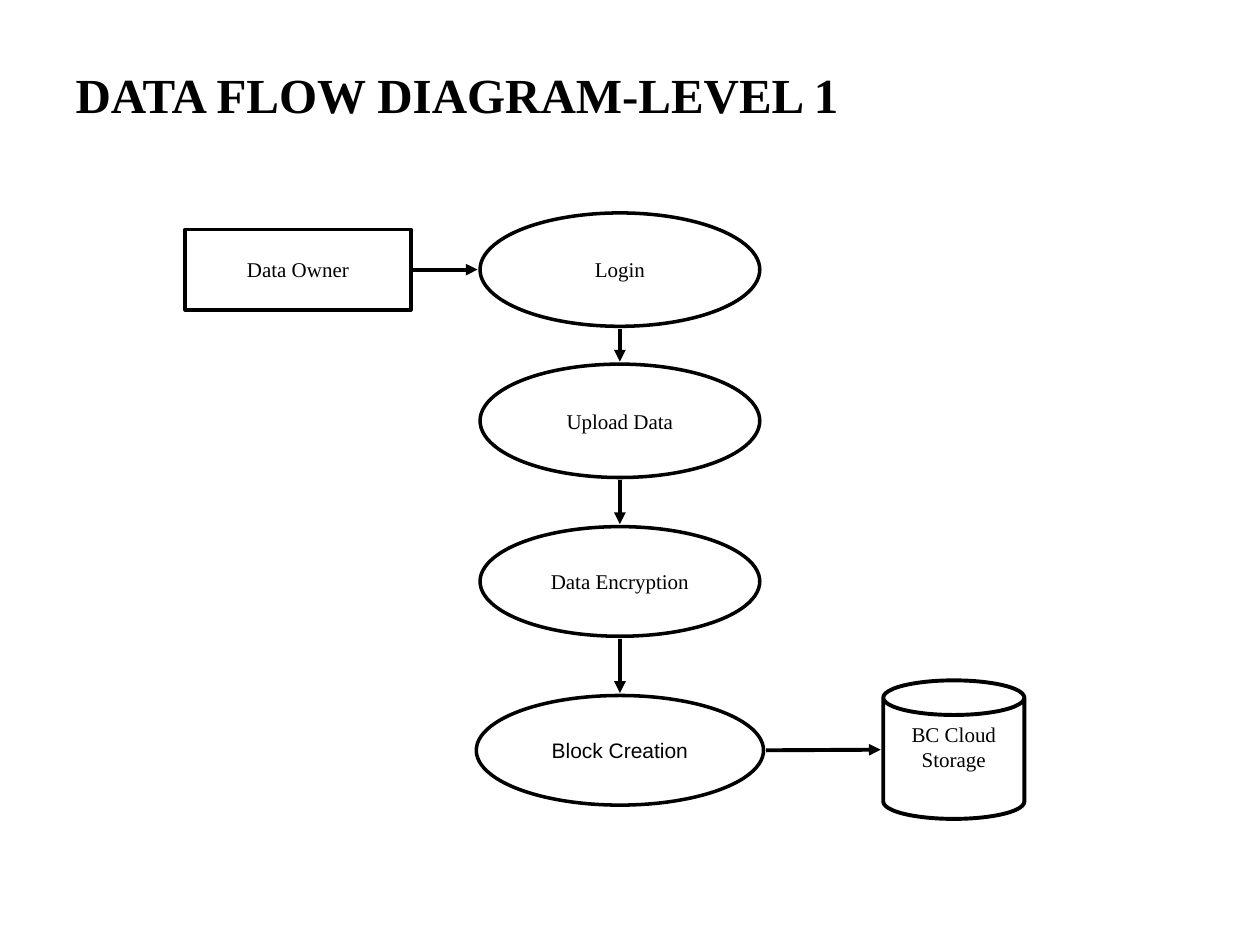
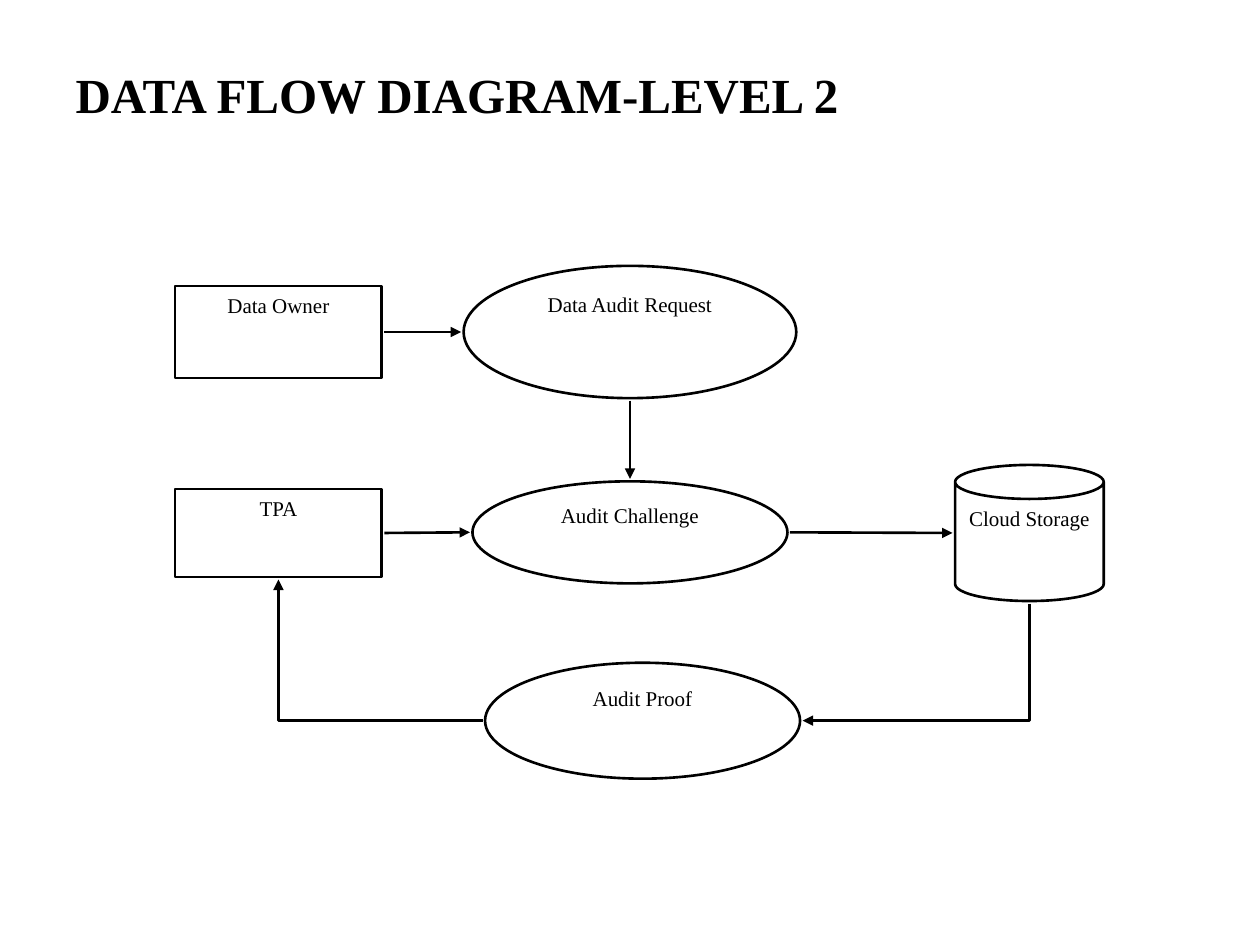
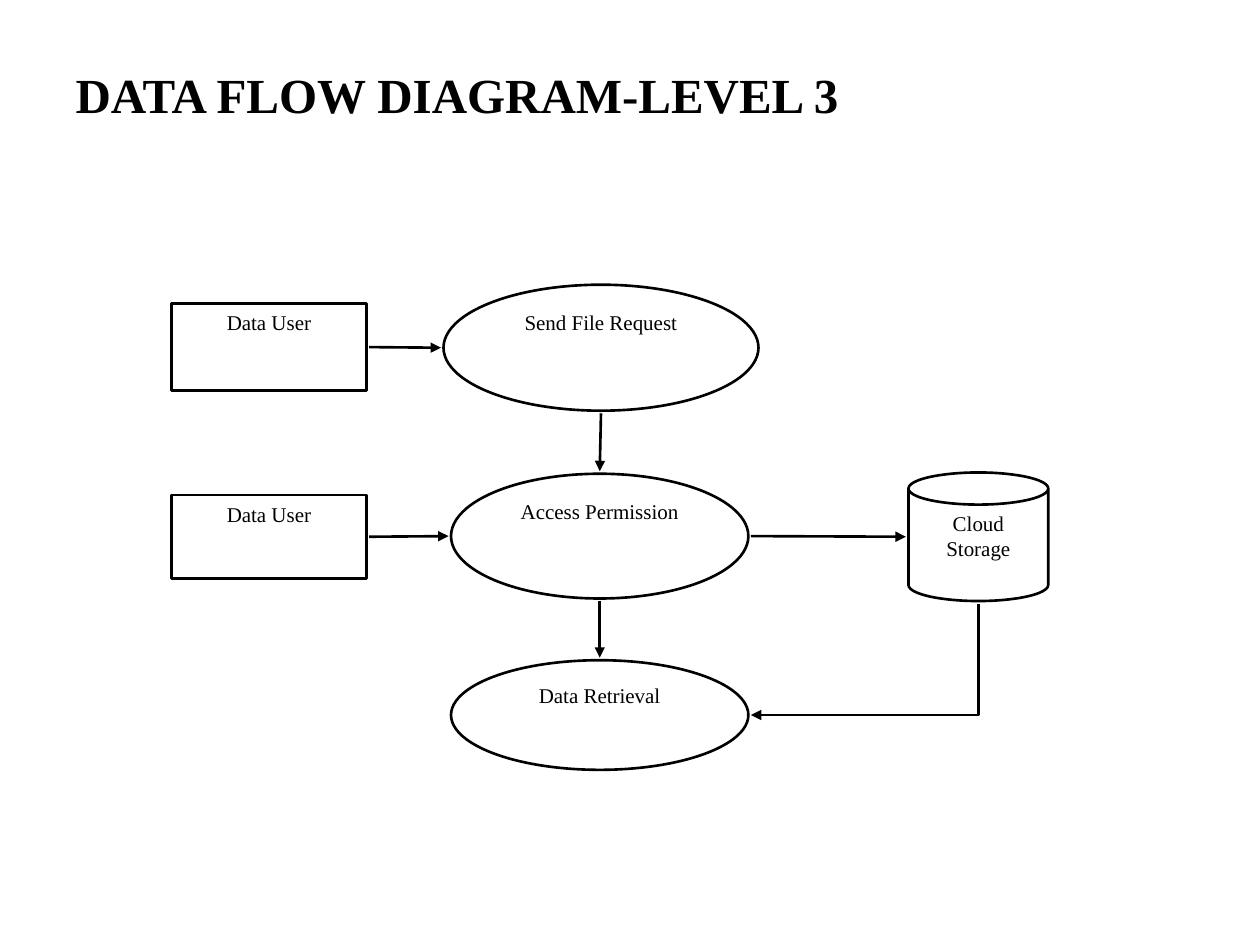
import pptx
import pptx.util
import pptx.dml.color
import pptx.enum.shapes
import pptx.enum.text
import pptx.oxml
import pptx.oxml.ns

Inches = pptx.util.Inches
Pt = pptx.util.Pt
Kind = pptx.enum.shapes.MSO_SHAPE
Line = pptx.enum.shapes.MSO_CONNECTOR
Anchor = pptx.enum.text.MSO_ANCHOR
Align = pptx.enum.text.PP_ALIGN
qn = pptx.oxml.ns.qn

BLACK = pptx.dml.color.RGBColor(0x00, 0x00, 0x00)
WHITE = pptx.dml.color.RGBColor(0xFF, 0xFF, 0xFF)
SERIF = "Times New Roman"
SANS = "Arial"
GAP = Inches(0.02)
# Unit direction in which each side of a shape faces
SIDES = {"left": (-1, 0), "right": (1, 0), "up": (0, -1), "down": (0, 1)}
OPPOSITE = {"right": "left", "down": "up"}


def add_page(deck, title):
    page = deck.slides.add_slide(deck.slide_layouts[5])
    box = page.shapes.title
    box.left, box.top = Inches(0.5), Inches(0.3)
    box.width, box.height = Inches(9), Inches(0.95)
    box.text_frame.text = title
    box.text_frame.vertical_anchor = Anchor.MIDDLE
    para = box.text_frame.paragraphs[0]
    para.alignment = Align.LEFT
    para.line_spacing = 0.9
    style_font(para.font, 28, SERIF)
    para.font.bold = True
    return page


def style_font(font, size, name):
    font.size = Pt(size)
    font.name = name
    font.color.rgb = BLACK


def add_node(page, kind, text, left, top, width, height,
             weight=1.5, anchor=Anchor.TOP, font=SERIF):
    node = page.shapes.add_shape(
        kind, Inches(left), Inches(top), Inches(width), Inches(height))
    node.shadow.inherit = False
    node.fill.solid()
    node.fill.fore_color.rgb = WHITE
    node.line.color.rgb = BLACK
    node.line.width = Pt(weight)
    node.text_frame.text = text
    node.text_frame.vertical_anchor = anchor
    para = node.text_frame.paragraphs[0]
    para.alignment = Align.CENTER
    style_font(para.font, 12, font)
    return node


def side_point(node, side):
    """Return the point just outside the middle of a node's side."""
    across, down = SIDES[side]
    x = node.left + node.width // 2 + across * (node.width // 2 + GAP)
    y = node.top + node.height // 2 + down * (node.height // 2 + GAP)
    return x, y


def style_arrow(arrow, weight):
    arrow.line.color.rgb = BLACK
    arrow.line.width = Pt(weight)
    line = arrow.element.spPr.find(qn("a:ln"))
    line.append(pptx.oxml.parse_xml(
        f'<a:tailEnd {pptx.oxml.ns.nsdecls("a")} type="triangle"/>'))
    arrow.element.spPr.append(pptx.oxml.parse_xml(
        f'<a:effectLst {pptx.oxml.ns.nsdecls("a")}/>'))


def add_arrow(page, source, target, direction, weight=1.5):
    start = side_point(source, direction)
    end = side_point(target, OPPOSITE[direction])
    arrow = page.shapes.add_connector(Line.STRAIGHT, *start, *end)
    style_arrow(arrow, weight)


def add_corner_arrow(page, source, leaving, target, arriving, rotation):
    """Join two sides with one right-angled bend, turned clockwise by rotation."""
    x1, y1 = side_point(source, leaving)
    x2, y2 = side_point(target, arriving)
    width, height = abs(x2 - x1), abs(y2 - y1)
    if rotation % 180:
        width, height = height, width
    left, top = (x1 + x2 - width) // 2, (y1 + y2 - height) // 2
    arrow = page.shapes.add_connector(
        Line.ELBOW, left, top, left + width, top + height)
    properties = arrow.element.spPr
    properties.find(qn("a:prstGeom")).set("prst", "bentConnector2")
    properties.find(qn("a:xfrm")).set("rot", str(rotation * 60000))
    style_arrow(arrow, 1.5)


def build_level_1(deck):
    page = add_page(deck, "DATA FLOW DIAGRAM-LEVEL 1")
    owner = add_node(page, Kind.RECTANGLE, "Data Owner",
                     1.47, 1.82, 1.79, 0.64, 2, Anchor.MIDDLE)
    steps = [
        add_node(page, Kind.OVAL, text, 4.92 - width / 2, top, width, height,
                 2, Anchor.MIDDLE, font)
        for text, top, width, height, font in (
            ("Login", 1.69, 2.22, 0.9, SERIF),
            ("Upload Data", 2.89, 2.22, 0.9, SERIF),
            ("Data Encryption", 4.18, 2.22, 0.87, SERIF),
            ("Block Creation", 5.52, 2.28, 0.87, SANS),
        )
    ]
    storage = add_node(page, Kind.CAN, "BC Cloud Storage",
                       7.01, 5.4, 1.12, 1.1, 2.25)
    add_arrow(page, owner, steps[0], "right", 2.25)
    for step, following in zip(steps, steps[1:]):
        add_arrow(page, step, following, "down", 2.25)
    add_arrow(page, steps[-1], storage, "right", 2.25)


def build_level_2(deck):
    page = add_page(deck, "DATA FLOW DIAGRAM-LEVEL 2")
    owner = add_node(page, Kind.RECTANGLE, "Data Owner", 1.39, 2.27, 1.64, 0.73)
    auditor = add_node(page, Kind.RECTANGLE, "TPA", 1.39, 3.88, 1.64, 0.7)
    request = add_node(page, Kind.OVAL, "Data Audit Request", 3.68, 2.11, 2.64, 1.05)
    challenge = add_node(page, Kind.OVAL, "Audit Challenge", 3.75, 3.82, 2.5, 0.81)
    proof = add_node(page, Kind.OVAL, "Audit Proof", 3.85, 5.26, 2.5, 0.92)
    storage = add_node(page, Kind.CAN, "Cloud Storage", 7.58, 3.69, 1.18, 1.08)
    add_arrow(page, owner, request, "right")
    add_arrow(page, request, challenge, "down")
    add_arrow(page, auditor, challenge, "right")
    add_arrow(page, challenge, storage, "right")
    add_corner_arrow(page, storage, "down", proof, "right", 90)
    add_corner_arrow(page, proof, "left", auditor, "down", 180)


def build_level_3(deck):
    page = add_page(deck, "DATA FLOW DIAGRAM-LEVEL 3")
    sender = add_node(page, Kind.RECTANGLE, "Data User", 1.36, 2.41, 1.55, 0.69)
    reader = add_node(page, Kind.RECTANGLE, "Data User", 1.36, 3.93, 1.55, 0.66)
    request = add_node(page, Kind.OVAL, "Send File Request", 3.52, 2.26, 2.5, 1)
    permission = add_node(page, Kind.OVAL, "Access Permission", 3.58, 3.76, 2.36, 0.99)
    retrieval = add_node(page, Kind.OVAL, "Data Retrieval", 3.58, 5.24, 2.36, 0.87)
    storage = add_node(page, Kind.CAN, "Cloud Storage", 7.21, 3.75, 1.11, 1.02)
    add_arrow(page, sender, request, "right")
    add_arrow(page, request, permission, "down")
    add_arrow(page, reader, permission, "right")
    add_arrow(page, permission, storage, "right")
    add_arrow(page, permission, retrieval, "down")
    add_corner_arrow(page, storage, "down", retrieval, "right", 90)


def main():
    deck = pptx.Presentation()
    deck.slide_width, deck.slide_height = Inches(10), Inches(7.5)
    build_level_1(deck)
    build_level_2(deck)
    build_level_3(deck)
    deck.save("out.pptx")


if __name__ == "__main__":
    main()
